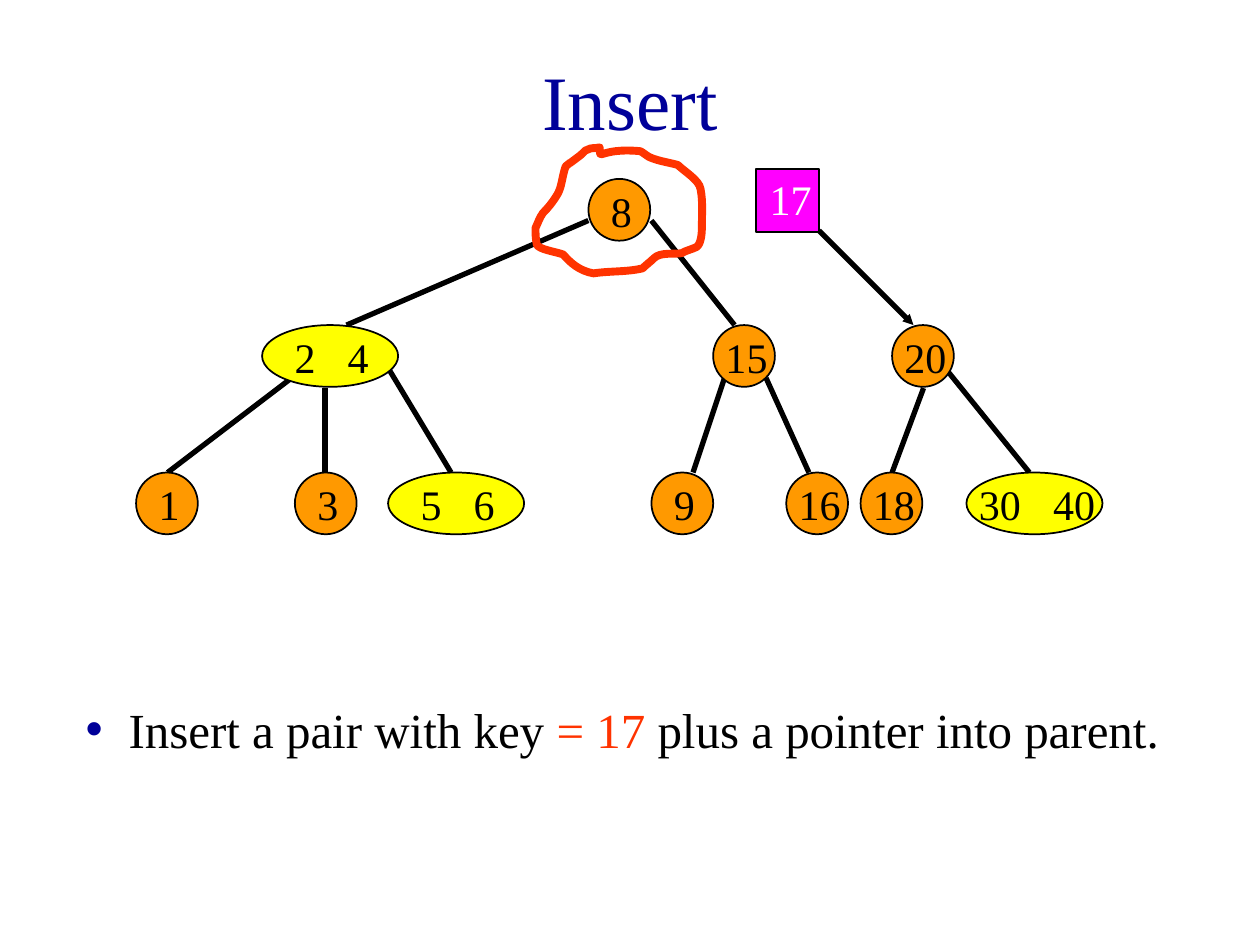
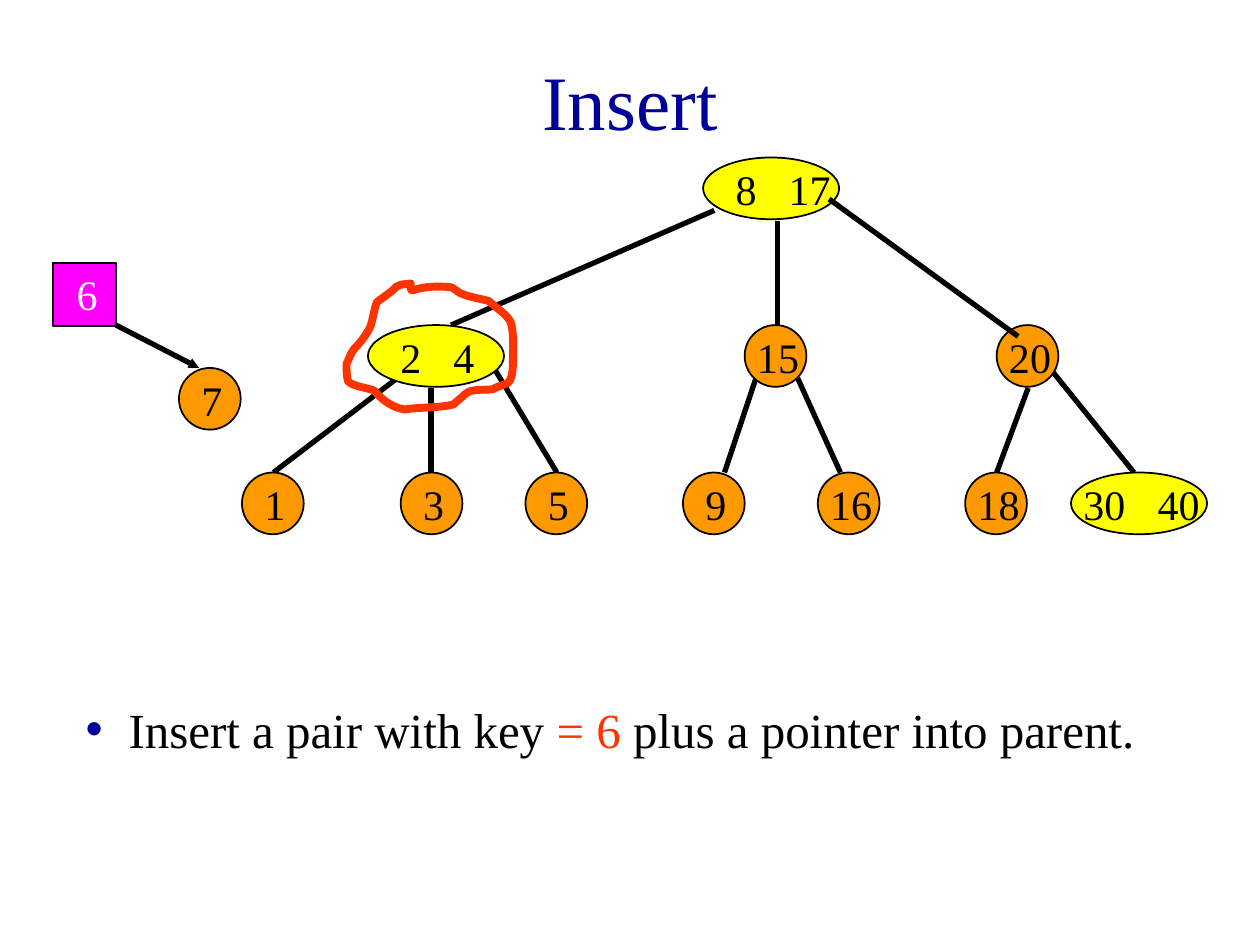
from dataclasses import dataclass

from lxml import etree
from pptx import Presentation
from pptx.dml.color import RGBColor
from pptx.enum.shapes import MSO_CONNECTOR, MSO_SHAPE
from pptx.enum.text import MSO_ANCHOR, MSO_AUTO_SIZE, PP_ALIGN
from pptx.oxml.ns import qn
from pptx.util import Inches, Pt

OVAL = MSO_SHAPE.OVAL
RECTANGLE = MSO_SHAPE.RECTANGLE
STRAIGHT = MSO_CONNECTOR.STRAIGHT
MIDDLE, TOP = MSO_ANCHOR.MIDDLE, MSO_ANCHOR.TOP
CENTER, LEFT = PP_ALIGN.CENTER, PP_ALIGN.LEFT
GROW = MSO_AUTO_SIZE.SHAPE_TO_FIT_TEXT
NO_FIT = MSO_AUTO_SIZE.NONE


@dataclass(frozen=True)
class Theme:
    font: str = "Times New Roman"
    navy: str = "000099"
    black: str = "000000"
    white: str = "FFFFFF"
    red: str = "FF3300"
    orange: str = "FF9900"
    yellow: str = "FFFF00"
    magenta: str = "FF00FF"
    title_size: float = 44
    body_size: float = 28
    key_size: float = 24
    outline: float = 1
    edge: float = 3
    marker: float = 4.5


THEME = Theme()

# Tree levels and node sizes, in inches
MIDDLE_LEVEL, LEAF_LEVEL = 2.58, 3.75
NODE_SIZE, PAIR_WIDTH, SQUARE_SIZE = 0.49, 1.08, 0.5
DIGIT_WIDTH, KEY_GAP = 0.17, 0.25
LABEL_WIDTHS = {1: 0.42, 2: 0.84, 3: 1.5, 4: 1.5}

# Subtrees: x is measured from the left of the subtree's top node
LEFT_SUBTREE = {
    "edges": [(0.34, 2.92, -0.75, LEAF_LEVEL), (0.5, 3.08, 0.5, LEAF_LEVEL),
              (1, 2.92, 1.5, LEAF_LEVEL)],
    "nodes": [((2, 4), 0, MIDDLE_LEVEL), ((1,), -1, LEAF_LEVEL),
              ((3,), 0.26, LEAF_LEVEL)],
}
MIDDLE_SUBTREE = {
    "edges": [(0.09, 3, -0.16, LEAF_LEVEL), (0.42, 3, 0.76, LEAF_LEVEL)],
    "nodes": [((15,), 0, MIDDLE_LEVEL), ((9,), -0.49, LEAF_LEVEL),
              ((16,), 0.58, LEAF_LEVEL)],
}
RIGHT_SUBTREE = {
    "edges": [(0.42, 2.92, 1.09, LEAF_LEVEL), (0.25, 3.08, 0, LEAF_LEVEL)],
    "nodes": [((20,), 0, MIDDLE_LEVEL), ((18,), -0.25, LEAF_LEVEL),
              ((30, 40), 0.59, LEAF_LEVEL)],
}

# Hand-drawn ring: start point, then two controls and an end for each curve
RING_START = (0.51, 0)
RING_CURVES = [
    (0.47, 0.01, 0.44, 0, 0.41, 0.02), (0.39, 0.02, 0.38, 0.05, 0.36, 0.06),
    (0.19, 0.19, 0.34, 0.07, 0.24, 0.15), (0.21, 0.23, 0.21, 0.32, 0.17, 0.38),
    (0.14, 0.43, 0.1, 0.48, 0.06, 0.52), (0.03, 0.56, 0.02, 0.6, 0, 0.64),
    (0, 0.68, 0, 0.72, 0.01, 0.77), (0.02, 0.81, 0.17, 0.83, 0.22, 0.85),
    (0.28, 0.92, 0.35, 0.98, 0.46, 1), (0.59, 0.98, 0.73, 0.99, 0.85, 0.96),
    (0.88, 0.93, 0.91, 0.91, 0.94, 0.88), (0.99, 0.83, 1.09, 0.85, 1.16, 0.84),
    (1.19, 0.82, 1.24, 0.81, 1.28, 0.79), (1.32, 0.76, 1.32, 0.65, 1.32, 0.65),
    (1.32, 0.54, 1.33, 0.43, 1.31, 0.33), (1.3, 0.26, 1.18, 0.19, 1.13, 0.14),
    (1.06, 0.12, 0.98, 0.11, 0.91, 0.08), (0.9, 0.08, 0.84, 0.03, 0.83, 0.03),
    (0.5, 0, 0.51, 0.12, 0.51, 0),
]


def apply_format(target, values):
    for name, value in values.items():
        setattr(target, name, value)


def add_run(paragraph, text, size, color):
    run = paragraph.add_run()
    run.text = text
    apply_format(run.font, {"name": THEME.font, "size": Pt(size)})
    run.font.color.rgb = RGBColor.from_string(color)


def style_line(line, color, width):
    line.color.rgb = RGBColor.from_string(color)
    line.width = Pt(width)


def place(shape, left, top, width, height):
    apply_format(shape, {"left": Inches(left), "top": Inches(top),
                         "width": Inches(width), "height": Inches(height)})


def add_title(slide, text):
    title = slide.shapes.title
    place(title, 0.75, 0.17, 8.5, 1.25)
    apply_format(title.text_frame, {"vertical_anchor": MIDDLE, "auto_size": NO_FIT})
    paragraph = title.text_frame.paragraphs[0]
    paragraph.alignment = CENTER
    add_run(paragraph, text, THEME.title_size, THEME.navy)


def add_bullet(slide, runs):
    body = slide.placeholders[1]
    place(body, 0.58, 5.5, 8.83, 0.57)
    apply_format(body.text_frame, {"vertical_anchor": TOP, "auto_size": GROW,
                                   "word_wrap": True})
    paragraph = body.text_frame.paragraphs[0]
    apply_format(paragraph, {"alignment": LEFT, "space_before": Pt(17.5)})
    properties = paragraph._p.get_or_add_pPr()
    properties.set("marL", str(Inches(0.34)))
    properties.set("indent", str(-Inches(0.34)))
    bullet_color = etree.SubElement(properties, qn("a:buClr"))
    etree.SubElement(bullet_color, qn("a:srgbClr"), val=THEME.navy)
    etree.SubElement(properties, qn("a:buChar"), char="\u2022")
    for text, color in runs:
        add_run(paragraph, text, THEME.body_size, color)


def add_label(slide, keys, left, top, color):
    """Write the keys of a node; a tab stop sets the gap between two keys."""
    words = [str(key) for key in keys]
    first_digits = len(words[0])
    offset = 0 if first_digits == 2 else 0.08 * len(words)
    width = LABEL_WIDTHS[len("".join(words))]
    label = slide.shapes.add_textbox(Inches(left + offset), Inches(top),
                                     Inches(width), Inches(0.5))
    apply_format(label.text_frame, {"word_wrap": True, "auto_size": GROW})
    paragraph = label.text_frame.paragraphs[0]
    paragraph.space_before = Pt(15)
    if len(words) > 1:
        tabs = etree.SubElement(paragraph._p.get_or_add_pPr(), qn("a:tabLst"))
        stop = Inches(DIGIT_WIDTH * first_digits + KEY_GAP)
        etree.SubElement(tabs, qn("a:tab"), pos=str(stop), algn="l")
    add_run(paragraph, "\t".join(words), THEME.key_size, color)


def add_box(slide, kind, left, top, width, height, fill):
    shape = slide.shapes.add_shape(kind, Inches(left), Inches(top),
                                   Inches(width), Inches(height))
    shape.shadow.inherit = False
    shape.fill.solid()
    shape.fill.fore_color.rgb = RGBColor.from_string(fill)
    style_line(shape.line, THEME.black, THEME.outline)


def add_node(slide, keys, left, top):
    pair = len(keys) == 2
    add_box(slide, OVAL, left, top, PAIR_WIDTH if pair else NODE_SIZE, NODE_SIZE,
            THEME.yellow if pair else THEME.orange)
    add_label(slide, keys, left, top, THEME.black)


def add_new_key(slide, key, left, top):
    add_box(slide, RECTANGLE, left, top, SQUARE_SIZE, SQUARE_SIZE, THEME.magenta)
    add_label(slide, (key,), left + 0.01, top - 0.01, THEME.white)


def add_edge(slide, x1, y1, x2, y2, arrow=False):
    edge = slide.shapes.add_connector(STRAIGHT, Inches(x1), Inches(y1),
                                      Inches(x2), Inches(y2))
    style_line(edge.line, THEME.black, THEME.edge)
    if arrow:
        etree.SubElement(edge.line._get_or_add_ln(), qn("a:tailEnd"),
                         type="triangle", w="sm", len="sm")
    etree.SubElement(edge._element.spPr, qn("a:effectLst"))


def add_subtree(slide, subtree, left):
    for x1, y1, x2, y2 in subtree["edges"]:
        add_edge(slide, left + x1, y1, left + x2, y2)
    for keys, x, top in subtree["nodes"]:
        add_node(slide, keys, left + x, top)


def bend_segments(shape, curves):
    """Turn each straight segment of a freeform into a cubic curve."""
    segments = list(shape._element.spPr.iter(qn("a:lnTo")))
    for segment, curve in zip(segments, curves):
        bend = etree.Element(qn("a:cubicBezTo"))
        for x, y in zip(curve[::2], curve[1::2]):
            etree.SubElement(bend, qn("a:pt"), x=str(Inches(x)), y=str(Inches(y)))
        segment.getparent().replace(segment, bend)


def add_ring(slide, left, top):
    start_x, start_y = RING_START
    builder = slide.shapes.build_freeform(Inches(start_x), Inches(start_y))
    builder.add_line_segments([(Inches(x), Inches(y)) for *_, x, y in RING_CURVES],
                              close=True)
    ring = builder.convert_to_shape(Inches(left), Inches(top))
    bend_segments(ring, RING_CURVES)
    ring.shadow.inherit = False
    ring.fill.background()
    style_line(ring.line, THEME.red, THEME.marker)


def add_insert_slide(presentation, key):
    slide = presentation.slides.add_slide(presentation.slide_layouts[1])
    add_title(slide, "Insert")
    add_bullet(slide, [("Insert a pair with key ", THEME.black),
                       (f"= {key} ", THEME.red),
                       ("plus a pointer into parent.", THEME.black)])
    return slide


def build_insert_17(presentation):
    slide = add_insert_slide(presentation, 17)
    # Root and its children
    add_edge(slide, 4.67, 1.75, 2.75, MIDDLE_LEVEL)
    add_edge(slide, 5.17, 1.75, 5.83, MIDDLE_LEVEL)
    add_node(slide, (8,), 4.67, 1.42)
    add_subtree(slide, LEFT_SUBTREE, 2.08)
    add_node(slide, (5, 6), 3.08, LEAF_LEVEL)
    add_subtree(slide, MIDDLE_SUBTREE, 5.66)
    # Pair to insert
    add_new_key(slide, 17, 6, 1.34)
    add_subtree(slide, RIGHT_SUBTREE, 7.08)
    add_edge(slide, 6.5, 1.83, 7.25, MIDDLE_LEVEL, arrow=True)
    add_ring(slide, 4.25, 1.17)


def build_insert_6(presentation):
    slide = add_insert_slide(presentation, 6)
    # Root and its children
    add_edge(slide, 5.67, 1.67, 3.58, MIDDLE_LEVEL)
    add_node(slide, (8, 17), 5.58, 1.25)
    add_subtree(slide, LEFT_SUBTREE, 2.92)
    add_node(slide, (5,), 4.17, LEAF_LEVEL)
    add_subtree(slide, MIDDLE_SUBTREE, 5.91)
    add_subtree(slide, RIGHT_SUBTREE, 7.91)
    add_edge(slide, 6.17, 1.75, 6.17, MIDDLE_LEVEL)
    add_edge(slide, 6.58, 1.58, 8.08, 2.67)
    # Pair to insert
    add_new_key(slide, 6, 0.42, 2.09)
    add_node(slide, (7,), 1.42, 2.92)
    add_edge(slide, 0.92, 2.58, 1.58, 2.92, arrow=True)
    add_ring(slide, 2.75, 2.25)


def main():
    presentation = Presentation()
    presentation.slide_width = Inches(10)
    presentation.slide_height = Inches(7.5)
    build_insert_17(presentation)
    build_insert_6(presentation)
    presentation.save("out.pptx")


main()
